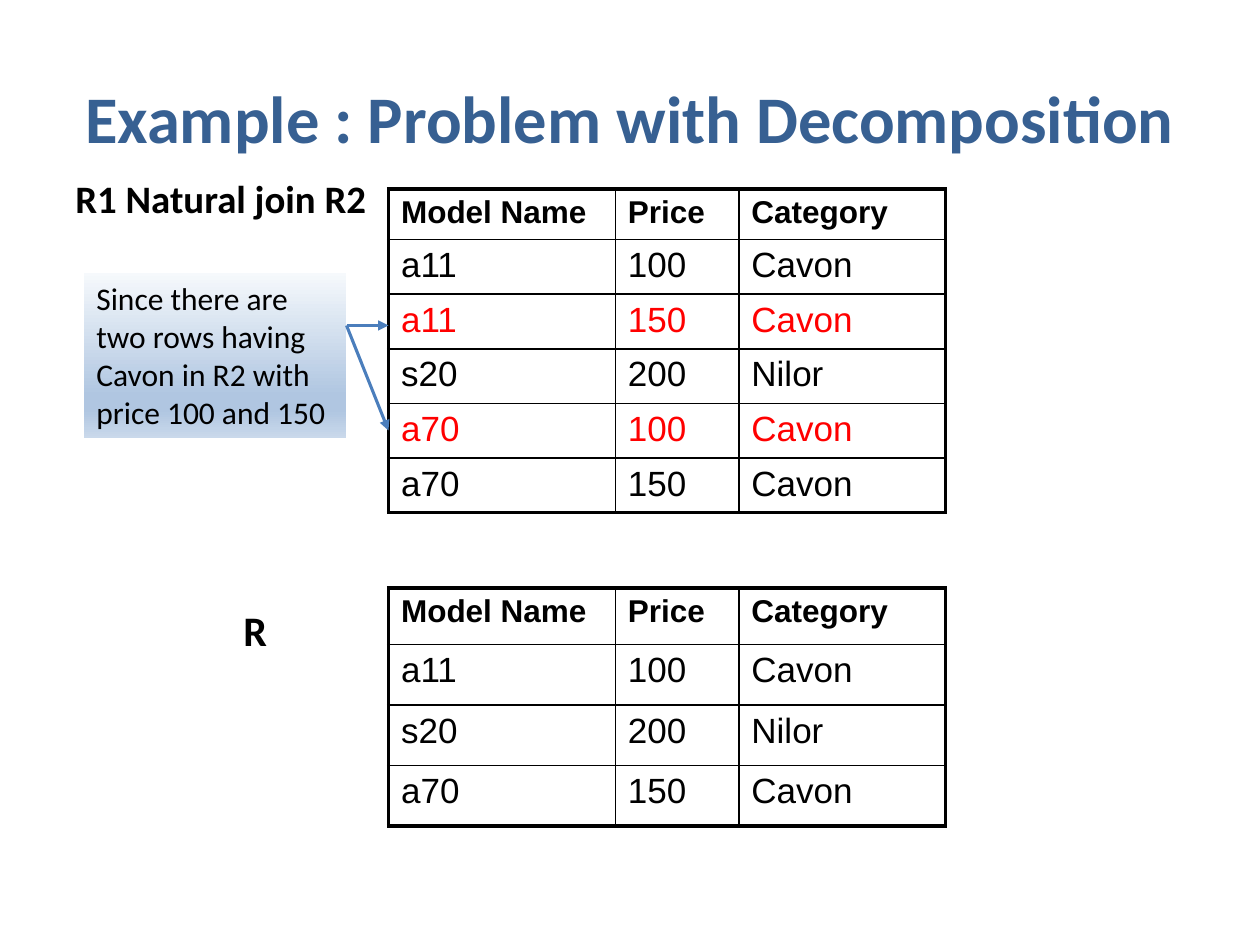
from dataclasses import dataclass

from lxml.etree import SubElement
from pptx import Presentation
from pptx.dml.color import RGBColor
from pptx.enum.shapes import MSO_CONNECTOR, MSO_SHAPE
from pptx.enum.text import MSO_ANCHOR, PP_ALIGN
from pptx.oxml.ns import qn
from pptx.util import Pt


@dataclass(frozen=True)
class Theme:
    text_font: str = "Calibri"
    table_font: str = "Arial"
    ink: str = "000000"
    title_color: str = "376092"
    highlight: str = "FF0000"
    arrow_color: str = "4B7EBC"
    gradient: tuple = ((0, "F6F9FC"), (74, "B0C6E1"), (83, "B0C6E1"), (100, "CAD9EB"))
    title_size: float = 38
    join_size: float = 22.2
    label_size: float = 24
    note_size: float = 18
    header_size: float = 18
    cell_size: float = 20
    outer_border: float = 2.25
    inner_border: float = 1
    arrow_width: float = 1.75


class SlideBuilder:
    def __init__(self, slide, theme):
        self.slide = slide
        self.theme = theme

    def add_run(self, paragraph, text, size, color=None, bold=False, font=None):
        run = paragraph.add_run()
        run.text = text
        run.font.name = font or self.theme.text_font
        run.font.size = Pt(size)
        run.font.bold = bold
        run.font.color.rgb = RGBColor.from_string(color or self.theme.ink)

    def text(self, box, text, size, color=None, align=PP_ALIGN.LEFT, anchor=MSO_ANCHOR.TOP):
        shape = self.slide.shapes.add_textbox(*map(Pt, box))
        frame = shape.text_frame
        frame.word_wrap = True
        frame.vertical_anchor = anchor
        paragraph = frame.paragraphs[0]
        paragraph.alignment = align
        self.add_run(paragraph, text, size, color, bold=True)

    def note(self, box, text):
        shape = self.slide.shapes.add_shape(MSO_SHAPE.RECTANGLE, *map(Pt, box))
        gradient = SubElement(shape.element.spPr, qn("a:gradFill"), rotWithShape="1")
        stops = SubElement(gradient, qn("a:gsLst"))
        for position, color in self.theme.gradient:
            stop = SubElement(stops, qn("a:gs"), pos=str(position * 1000))
            SubElement(stop, qn("a:srgbClr"), val=color)
        SubElement(gradient, qn("a:lin"), ang="5400000", scaled="0")
        shape.line.fill.background()
        shape.shadow.inherit = False
        frame = shape.text_frame
        frame.word_wrap = True
        frame.vertical_anchor = MSO_ANCHOR.TOP
        paragraph = frame.paragraphs[0]
        paragraph.alignment = PP_ALIGN.LEFT
        self.add_run(paragraph, text, self.theme.note_size)

    def arrow(self, start, end):
        connector = self.slide.shapes.add_connector(
            MSO_CONNECTOR.STRAIGHT, *map(Pt, start + end))
        connector.line.color.rgb = RGBColor.from_string(self.theme.arrow_color)
        connector.line.width = Pt(self.theme.arrow_width)
        SubElement(connector.line._get_or_add_ln(), qn("a:tailEnd"), type="triangle")
        SubElement(connector.element.spPr, qn("a:effectLst"))

    def cell_borders(self, cell, outer_sides):
        properties = cell._tc.get_or_add_tcPr()
        for side, is_outer in outer_sides.items():
            width = self.theme.outer_border if is_outer else self.theme.inner_border
            line = SubElement(properties, qn(f"a:ln{side}"), w=str(Pt(width)))
            fill = SubElement(line, qn("a:solidFill"))
            SubElement(fill, qn("a:srgbClr"), val=self.theme.ink)

    def table(self, left, top, widths, header_height, row_height, rows, highlighted=()):
        heights = [header_height] + [row_height] * (len(rows) - 1)
        table = self.slide.shapes.add_table(
            len(rows), len(widths), Pt(left), Pt(top),
            Pt(sum(widths)), Pt(sum(heights))).table
        table.horz_banding = False
        for column, width in zip(table.columns, widths):
            column.width = Pt(width)
        for r, values in enumerate(rows):
            table.rows[r].height = Pt(heights[r])
            is_header = r == 0
            size = self.theme.header_size if is_header else self.theme.cell_size
            color = self.theme.highlight if r in highlighted else self.theme.ink
            for c, value in enumerate(values):
                cell = table.cell(r, c)
                self.cell_borders(cell, {
                    "L": c == 0, "R": c == len(widths) - 1,
                    "T": is_header, "B": r == len(rows) - 1})
                cell.fill.background()
                self.add_run(cell.text_frame.paragraphs[0], value, size, color,
                             bold=is_header, font=self.theme.table_font)


def main():
    presentation = Presentation()
    presentation.slide_width, presentation.slide_height = Pt(720), Pt(540)
    slide = presentation.slides.add_slide(presentation.slide_layouts[6])
    theme = Theme()
    builder = SlideBuilder(slide, theme)

    # Title and label of the joined relation
    builder.text((36, 21.6, 648, 90), "Example : Problem with Decomposition",
                 theme.title_size, theme.title_color, PP_ALIGN.CENTER, MSO_ANCHOR.MIDDLE)
    builder.text((36, 96, 186, 78), "R1 Natural join R2", theme.join_size)

    # Joined relation, with the spurious rows highlighted
    table_left = 222
    widths = (129.6, 70.6, 118)
    header = ("Model Name", "Price", "Category")
    joined_rows = [
        header,
        ("a11", "100", "Cavon"),
        ("a11", "150", "Cavon"),
        ("s20", "200", "Nilor"),
        ("a70", "100", "Cavon"),
        ("a70", "150", "Cavon"),
    ]
    builder.table(table_left, 108, widths, 27.4, 29.6, joined_rows, highlighted=(2, 4))

    # Original relation
    original_rows = [
        header,
        ("a11", "100", "Cavon"),
        ("s20", "200", "Nilor"),
        ("a70", "150", "Cavon"),
    ]
    builder.table(table_left, 336, widths, 32.4, 34.5, original_rows)
    builder.text((132, 342, 72, 36), "R", theme.label_size)

    # Explanation pointing at the spurious rows
    builder.note((48, 156, 150, 94.5),
                 "Since there are two rows having Cavon in R2 with price 100 and 150")
    for row_y in (186, 246):
        builder.arrow((198, 186), (table_left, row_y))

    presentation.save("out.pptx")


if __name__ == "__main__":
    main()
